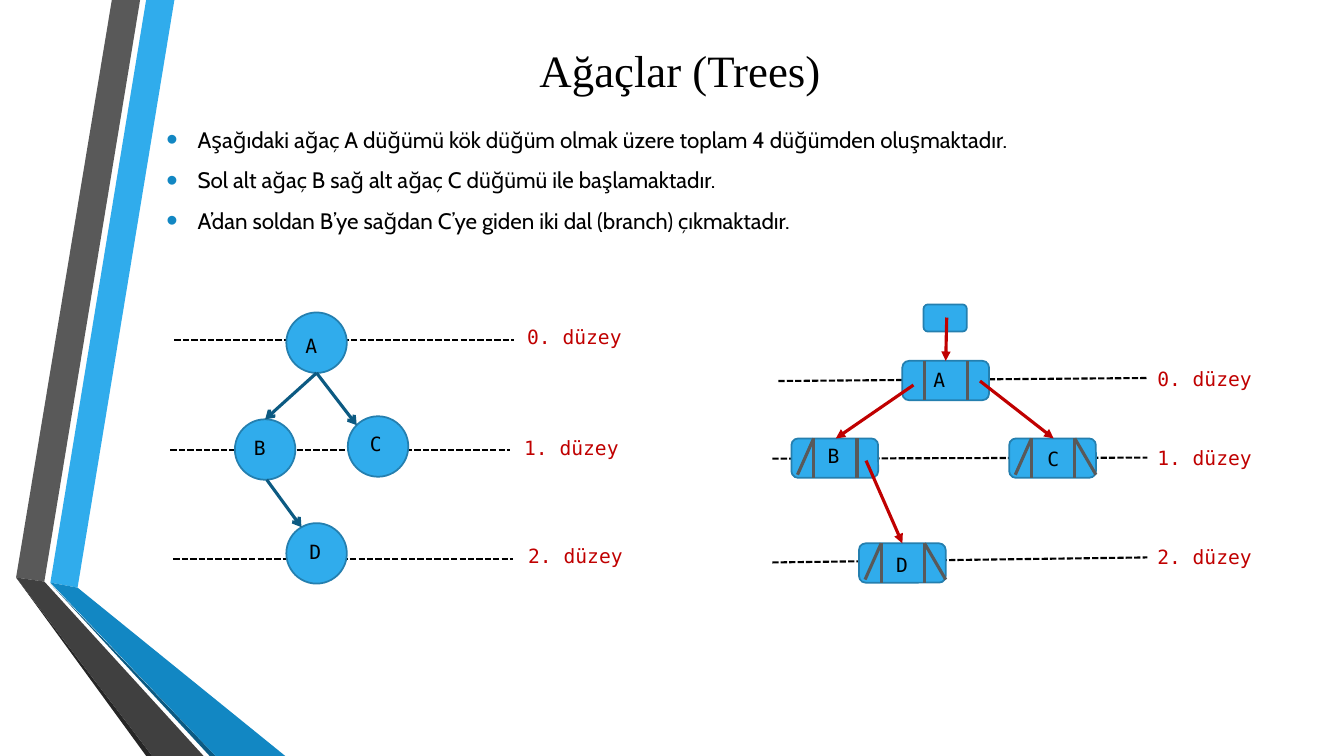
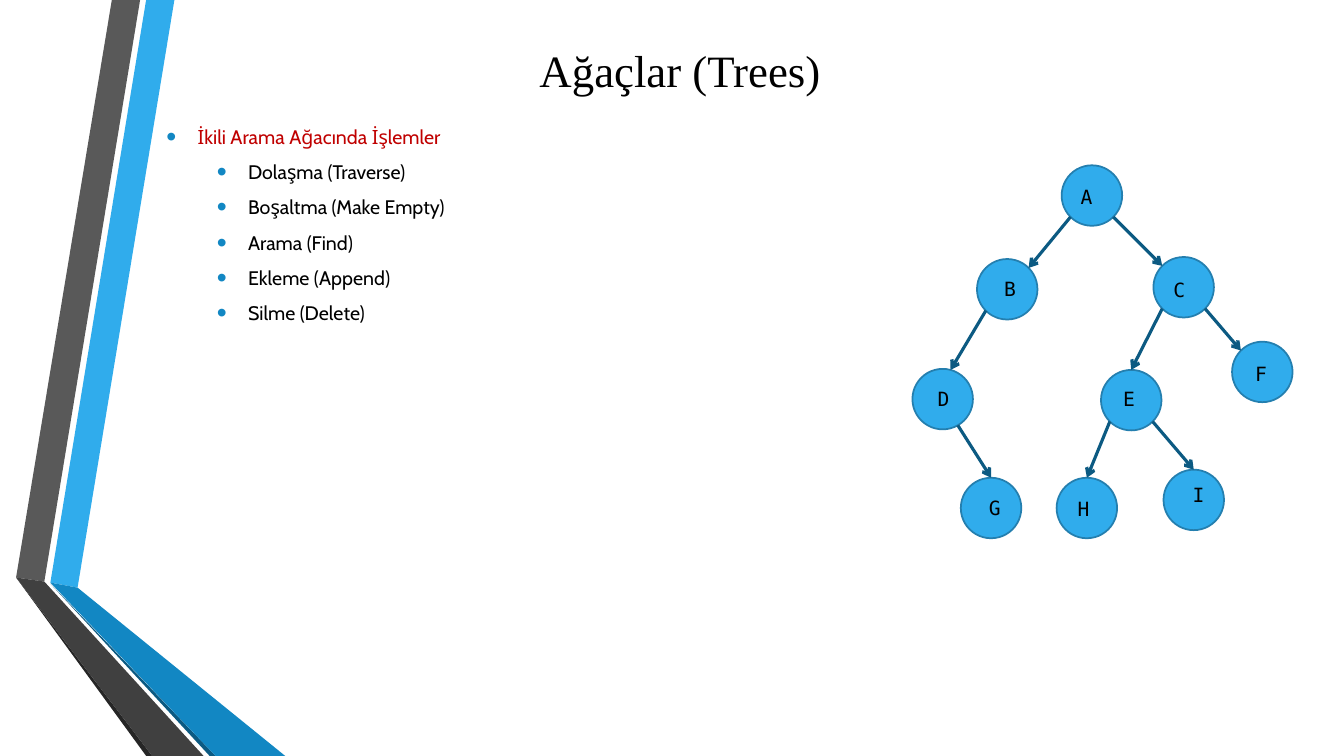
from dataclasses import dataclass
from math import cos, radians, sin

from pptx import Presentation
from pptx.dml.color import RGBColor
from pptx.enum.dml import MSO_LINE
from pptx.enum.shapes import MSO_CONNECTOR, MSO_SHAPE
from pptx.enum.text import MSO_ANCHOR, MSO_AUTO_SIZE, PP_ALIGN
from pptx.oxml.ns import qn
from pptx.util import Inches, Pt
from lxml.etree import SubElement


@dataclass(frozen=True)
class Theme:
    text: str = "000000"
    accent: str = "C00000"
    node: str = "30ACEC"
    outline: str = "247FAF"
    edge: str = "0C5A82"
    bullet: str = "1287C3"
    divider: str = "595959"
    title_font: str = "Times New Roman"
    body_font: str = "Cabin"
    label_font: str = "DejaVu Sans Mono"
    title_size: int = 32
    body_size: int = 16
    small_size: int = 14


THEME = Theme()

# Shared content: title, frames and side bands
TITLE = "Ağaçlar (Trees)"
TITLE_FRAME = (1.55, 0.17, 10.39, 1.04)
BODY_FRAME = (1.55, 1.07, 10.74, 1.94)
LIST_FRAME = (1.55, 1.07, 9.26, 6.19)
BANDS = [
    (THEME.node, [(0.5, 5.78), (0.77, 5.83), (1.73, 0), (1.45, 0)]),
    (THEME.divider, [(1.39, 0), (1.11, 0), (0.16, 5.73), (0.44, 5.77)]),
    ("262626", [(0.16, 5.73), (1.45, 7.5), (1.51, 7.5)]),
    (THEME.edge, [(0.5, 5.79), (2.08, 7.5), (2.14, 7.5)]),
    (THEME.bullet, [(0.5, 5.78), (2.14, 7.5), (2.83, 7.5), (0.77, 5.83)]),
    ("404040", [(2.02, 7.5), (0.44, 5.77), (0.16, 5.73), (1.51, 7.5)]),
]

# Slide 1: bullets as (level, text, colour)
TREE_POINTS = [
    (0, "Aşağıdaki ağaç A düğümü kök düğüm olmak üzere toplam 4 düğümden oluşmaktadır.", THEME.text),
    (0, "Sol alt ağaç B sağ alt ağaç C düğümü ile başlamaktadır.", THEME.text),
    (0, "A’dan soldan B’ye sağdan C’ye giden iki dal (branch) çıkmaktadır.", THEME.text),
]
# Level lines: start, end, label position; each group counts from level 0
CIRCLE_LEVELS = [
    ((1.73, 3.37), (5.1, 3.37), (5.13, 3.17)),
    ((1.69, 4.46), (5.06, 4.46), (5.1, 4.28)),
    ((1.72, 5.55), (5.09, 5.55), (5.14, 5.35)),
]
RECORD_LEVELS = [
    ((7.72, 3.78), (11.38, 3.75), (11.38, 3.59)),
    ((7.66, 4.55), (11.38, 4.54), (11.38, 4.37)),
    ((7.66, 5.58), (11.38, 5.53), (11.38, 5.36)),
]
# Nodes: corner, label offset. Edges: parent, angle, child, angle (clockwise from top)
SMALL_TREE = {
    "A": ((2.84, 3.1), (0.09, 0.16)),
    "B": ((2.33, 4.16), (0.09, 0.12)),
    "C": ((3.45, 4.13), (0.12, 0.11)),
    "D": ((2.84, 5.19), (0.13, 0.12)),
}
SMALL_EDGES = [("A", 180, "B", 0), ("A", 180, "C", -45), ("B", 177, "D", -30)]
# Records: corner, label offset, empty left link, empty right link
RECORDS = {
    "A": ((8.95, 3.58), (0.21, 0.02), False, False),
    "B": ((7.85, 4.35), (0.26, 0.01), True, False),
    "C": ((10.01, 4.35), (0.28, 0.03), True, True),
    "D": ((8.52, 5.39), (0.27, 0.05), True, True),
}
ROOT_POINTER = (9.16, 3.02, 0.43, 0.27)
POINTERS = [
    ((9.39, 3.15), (9.38, 3.58)),
    ((9.06, 3.82), (8.29, 4.35)),
    ((9.72, 3.78), (10.45, 4.35)),
    ((8.59, 4.57), (8.95, 5.39)),
]

# Slide 2
OPERATIONS = [(0, "İkili Arama Ağacında İşlemler", THEME.accent)] + [
    (1, text, THEME.text) for text in (
        "Dolaşma (Traverse)", "Boşaltma (Make Empty)", "Arama (Find)",
        "Ekleme (Append)", "Silme (Delete)")
]
LARGE_TREE = {
    "A": ((10.53, 1.64), (0.09, 0.15)),
    "B": ((9.69, 2.57), (0.17, 0.13)),
    "C": ((11.44, 2.55), (0.1, 0.16)),
    "D": ((9.05, 3.66), (0.15, 0.13)),
    "E": ((10.92, 3.67), (0.12, 0.12)),
    "F": ((12.22, 3.39), (0.13, 0.15)),
    "G": ((9.53, 4.74), (0.18, 0.13)),
    "H": ((10.48, 4.74), (0.11, 0.14)),
    "I": ((11.54, 4.66), (0.19, 0.08)),
}
LARGE_EDGES = [
    ("A", -135, "B", 45), ("A", 135, "C", -45), ("B", -135, "D", 15),
    ("C", -135, "E", 0), ("C", 135, "F", -45), ("D", 150, "G", 0),
    ("E", -135, "H", 0), ("E", 135, "I", 0),
]

# Sizes of the node kinds
CIRCLE = 0.6
RECORD_WIDTH, RECORD_HEIGHT = 0.86, 0.39
LEFT_DIVIDER, RIGHT_DIVIDER = 0.22, 0.65
SLASH_LEFT, SLASH_RIGHT, SLASH_DROP = 0.06, 0.86, 0.36


def color(value):
    return RGBColor.from_string(value)


def inches(*values):
    return [Inches(value) for value in values]


def write(paragraph, text, size, font, tint=THEME.text):
    run = paragraph.add_run()
    run.text = text
    run.font.size, run.font.name = Pt(size), font
    run.font.color.rgb = color(tint)


def place(shape, frame):
    shape.left, shape.top, shape.width, shape.height = inches(*frame)


def add_line(slide, start, end, tint, width=2.25, dash=None, head=None):
    line = slide.shapes.add_connector(MSO_CONNECTOR.STRAIGHT, *inches(*start, *end))
    line.line.color.rgb, line.line.width = color(tint), Pt(width)
    if dash:
        line.line.dash_style = dash
    if head:
        SubElement(line.line._get_or_add_ln(), qn("a:tailEnd"), type=head)
    SubElement(line.element.spPr, qn("a:effectLst"))


def add_node(slide, kind, frame):
    shape = slide.shapes.add_shape(kind, *inches(*frame))
    shape.shadow.inherit = False
    shape.fill.solid()
    shape.fill.fore_color.rgb = color(THEME.node)
    shape.line.color.rgb, shape.line.width = color(THEME.outline), Pt(1.25)


def add_label(slide, text, position, width=0.45, tint=THEME.text):
    box = slide.shapes.add_textbox(*inches(*position, width, 0.34))
    box.text_frame.word_wrap = True
    write(box.text_frame.paragraphs[0], text, THEME.small_size, THEME.label_font, tint)


def shifted(corner, offset):
    return corner[0] + offset[0], corner[1] + offset[1]


def rim_point(corner, angle):
    radius, turn = CIRCLE / 2, radians(angle)
    return shifted(corner, (radius + radius * sin(turn), radius - radius * cos(turn)))


def add_circle_tree(slide, nodes, edges):
    for corner, _ in nodes.values():
        add_node(slide, MSO_SHAPE.OVAL, (*corner, CIRCLE, CIRCLE))
    for parent, leave, child, arrive in edges:
        add_line(slide, rim_point(nodes[parent][0], leave),
                 rim_point(nodes[child][0], arrive), THEME.edge, head="arrow")
    for letter, (corner, offset) in nodes.items():
        add_label(slide, letter, shifted(corner, offset))


def add_record(slide, letter, corner, offset, empty_left, empty_right):
    add_node(slide, MSO_SHAPE.ROUNDED_RECTANGLE, (*corner, RECORD_WIDTH, RECORD_HEIGHT))
    strokes = [(x, x, RECORD_HEIGHT) for x in (LEFT_DIVIDER, RIGHT_DIVIDER)]
    if empty_left:
        strokes.append((LEFT_DIVIDER, SLASH_LEFT, SLASH_DROP))
    if empty_right:
        strokes.append((RIGHT_DIVIDER, SLASH_RIGHT, SLASH_DROP))
    for top_x, bottom_x, drop in strokes:
        add_line(slide, shifted(corner, (top_x, 0)), shifted(corner, (bottom_x, drop)),
                 THEME.divider)
    add_label(slide, letter, shifted(corner, offset))


def add_levels(slide, levels):
    for number, (start, end, label) in enumerate(levels):
        add_line(slide, start, end, THEME.text, 1.5, MSO_LINE.SQUARE_DOT)
        add_label(slide, f"{number}. düzey", label, 1.17, THEME.accent)


def add_bullets(body, items, size):
    frame = body.text_frame
    frame.auto_size = MSO_AUTO_SIZE.NONE
    for index, (level, text, tint) in enumerate(items):
        paragraph = frame.add_paragraph() if index else frame.paragraphs[0]
        paragraph.level, paragraph.alignment = level, PP_ALIGN.JUSTIFY
        paragraph.line_spacing = 1.5
        paragraph.space_before = paragraph.space_after = Pt(0)
        properties = paragraph._p.get_or_add_pPr()
        properties.set("marL", str(Inches(0.31 + 0.5 * level)))
        properties.set("indent", str(Inches(-0.31)))
        tone = SubElement(properties, qn("a:buClr"))
        SubElement(tone, qn("a:srgbClr"), val=THEME.bullet)
        SubElement(properties, qn("a:buSzPct"), val="145000")
        SubElement(properties, qn("a:buFont"), typeface="Arial")
        SubElement(properties, qn("a:buChar"), char="•")
        write(paragraph, text, size, THEME.body_font, tint)


def add_bands(slide, layout):
    """Build the bands and hand them to the layout that all slides share."""
    for tint, points in BANDS:
        corners = [inches(*point) for point in points]
        builder = slide.shapes.build_freeform(*corners[0])
        builder.add_line_segments(corners[1:], close=True)
        band = builder.convert_to_shape()
        band.shadow.inherit = False
        band.fill.solid()
        band.fill.fore_color.rgb = color(tint)
        band.line.fill.background()
        layout.shapes.element.append(band.element)


def add_slide(presentation, layout, frame, items, size):
    slide = presentation.slides.add_slide(layout)
    title, body = slide.placeholders
    place(title, TITLE_FRAME)
    title.text_frame.vertical_anchor = MSO_ANCHOR.MIDDLE
    heading = title.text_frame.paragraphs[0]
    heading.alignment = PP_ALIGN.CENTER
    write(heading, TITLE, THEME.title_size, THEME.title_font)
    place(body, frame)
    add_bullets(body, items, size)
    return slide


presentation = Presentation()
presentation.slide_width, presentation.slide_height = inches(13.33, 7.5)
layout = presentation.slide_layouts[1]

# Slide 1: the same tree as circles and as linked records
slide = add_slide(presentation, layout, BODY_FRAME, TREE_POINTS, THEME.body_size)
add_bands(slide, layout)
add_levels(slide, CIRCLE_LEVELS)
add_levels(slide, RECORD_LEVELS)
add_circle_tree(slide, SMALL_TREE, SMALL_EDGES)
for letter, record in RECORDS.items():
    add_record(slide, letter, *record)
add_node(slide, MSO_SHAPE.ROUNDED_RECTANGLE, ROOT_POINTER)
for start, end in POINTERS:
    add_line(slide, start, end, THEME.accent, head="triangle")

# Slide 2: operations and a larger tree
slide = add_slide(presentation, layout, LIST_FRAME, OPERATIONS, THEME.small_size)
add_circle_tree(slide, LARGE_TREE, LARGE_EDGES)

presentation.save("out.pptx")
